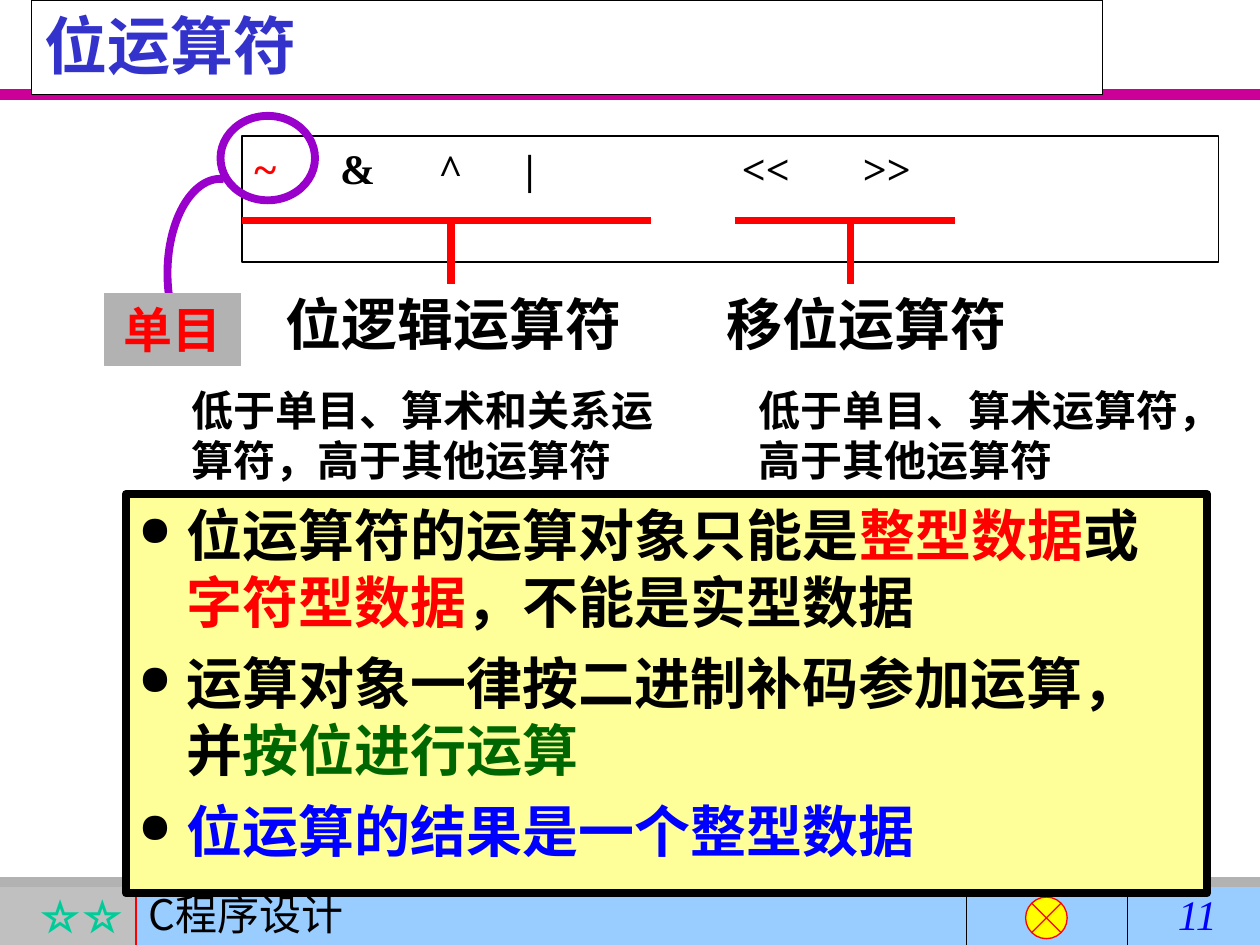
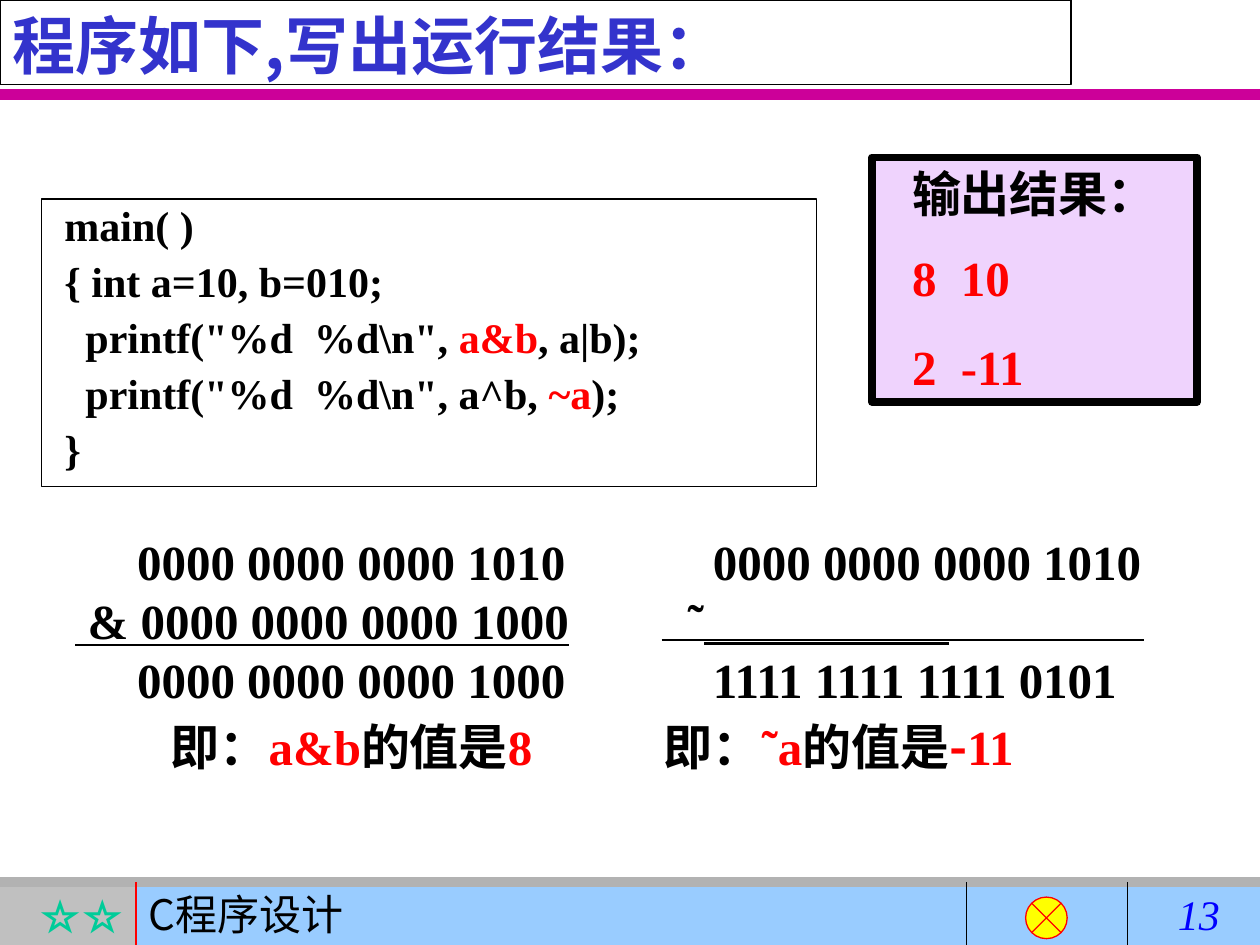
import pptx
import pptx.dml.color
import pptx.enum.shapes
import pptx.enum.text
import pptx.oxml
import pptx.oxml.ns
import pptx.util

Inches = pptx.util.Inches
Pt = pptx.util.Pt
SHAPE = pptx.enum.shapes.MSO_SHAPE
ALIGN = pptx.enum.text.PP_ALIGN

SANS = "Noto Sans CJK SC"
SERIF = "Times New Roman"
BLACK, WHITE, RED, BLUE = "000000", "FFFFFF", "FF0000", "0000FF"
GREEN, PURPLE, TITLE_BLUE, MAGENTA = "006600", "9900CC", "3333CC", "CC0099"
GREY, STAR_GREY, STAR_GREEN, SKY = "B2B2B2", "C0C0C0", "00CC99", "99CCFF"
YELLOW, PALE_YELLOW, LILAC = "FFFF00", "FFFF99", "EFD3FD"
THIN, THICK, BAND = 0.75, 4.5, 6


def rgb(color):
    """Turn a hex string into a colour."""
    return pptx.dml.color.RGBColor.from_string(color)


def add_xml(parent, tag, **attributes):
    """Append an empty drawing element to a parent element."""
    element = pptx.oxml.parse_xml(f"<a:{tag} {pptx.oxml.ns.nsdecls('a')}/>")
    for name, value in attributes.items():
        element.set(name, str(value))
    parent.append(element)
    return element


def paint(shape, fill=None, line=None, weight=THIN):
    """Set the fill and outline of a shape."""
    if fill:
        shape.fill.solid()
        shape.fill.fore_color.rgb = rgb(fill)
    else:
        shape.fill.background()
    if line:
        shape.line.color.rgb = rgb(line)
        shape.line.width = Pt(weight)
    else:
        shape.line.fill.background()


def add_run(paragraph, text, size, color=BLACK, font=SERIF, bold=True, italic=False, underline=False):
    """Add one formatted run to a paragraph."""
    run = paragraph.add_run()
    run.text = text
    run.font.size = Pt(size)
    run.font.name = font
    run.font.bold = bold
    run.font.italic = italic
    run.font.underline = underline
    run.font.color.rgb = rgb(color)
    add_xml(run.font._element, "ea", typeface=SANS)


def write(shape, paragraphs, size, align=ALIGN.LEFT, before=0, spacing=None, **style):
    """Fill a shape with paragraphs, each a list of (text, overrides) runs."""
    frame = shape.text_frame
    frame.word_wrap = True
    frame.auto_size = pptx.enum.text.MSO_AUTO_SIZE.NONE
    frame.vertical_anchor = pptx.enum.text.MSO_ANCHOR.TOP
    for index, runs in enumerate(paragraphs):
        paragraph = frame.add_paragraph() if index else frame.paragraphs[0]
        paragraph.alignment = align
        paragraph.space_before = Pt(before if index else 0)
        if spacing:
            paragraph.line_spacing = spacing
        for text, overrides in runs:
            add_run(paragraph, text, size, **{**style, **overrides})
    return frame.paragraphs


def indent(paragraph, left, first=0):
    """Set the left margin and first-line indent of a paragraph."""
    properties = paragraph._p.get_or_add_pPr()
    properties.set("marL", str(Inches(left)))
    properties.set("indent", str(Inches(first)))
    return properties


def add_box(slide, box, kind=SHAPE.RECTANGLE, **look):
    """Add a painted preset shape in a box given in inches."""
    shape = slide.shapes.add_shape(kind, *map(Inches, box))
    shape.shadow.inherit = False
    paint(shape, **look)
    return shape


def add_text(slide, box, paragraphs, size, **options):
    """Add a text box and return its paragraphs."""
    return write(slide.shapes.add_textbox(*map(Inches, box)), paragraphs, size, **options)


def add_line(slide, start, end, color=BLACK, weight=THIN):
    """Add a straight line between two points in inches."""
    line = slide.shapes.add_connector(
        pptx.enum.shapes.MSO_CONNECTOR.STRAIGHT, *map(Inches, (*start, *end)))
    line.line.color.rgb = rgb(color)
    line.line.width = Pt(weight)
    add_xml(line._element.spPr, "effectLst")


def draw_footer(slide, box, number):
    """Draw the course footer with its stars, name and page number."""
    left, top, width, height = box
    star_width = 1.08
    stars = add_box(slide, (left, top, star_width, height), fill=STAR_GREY)
    write(stars, [[("☆☆", {})]], 24, align=ALIGN.RIGHT, color=STAR_GREEN)
    course = add_box(slide, (left + star_width, top, width - star_width, height), fill=SKY)
    write(course, [[("C程序设计", {})]], 24, font=SANS, bold=False)
    add_line(slide, (left, top), (left + width, top), GREY, BAND)
    for offset, color in ((star_width, RED), (7.67, BLACK), (8.95, BLACK)):
        add_line(slide, (left + offset, top), (left + offset, top + height), color)
    add_box(slide, (left + 8.14, top + 0.12, 0.33, 0.33),
            SHAPE.FLOWCHART_SUMMING_JUNCTION, fill=YELLOW, line=RED)
    add_text(slide, (left + 9.25, top, 0.75, height), [[(number, {})]], 24,
             color=BLUE, bold=False, italic=True)


def start_slide(deck, title_text, title_box, number):
    """Add a slide with the footer, title band and title."""
    slide = deck.slides.add_slide(deck.slide_layouts[5])
    draw_footer(slide, (0, 7, 10, 0.5), number)
    add_line(slide, (0, 0.75), (10, 0.75), MAGENTA, BAND)
    title = slide.shapes.title
    title.left, title.top, title.width, title.height = map(Inches, title_box)
    paint(title, WHITE, BLACK)
    write(title, [[(title_text, {})]], 36, color=TITLE_BLUE, font=SANS)
    slide.shapes.element.append(title.element)
    return slide


def draw_operator_list(slide, box):
    """Draw the framed row of operators on tab stops."""
    frame = add_box(slide, box, fill=WHITE, line=BLACK)
    operators = [("~", {"color": RED})]
    operators += [("\t" + sign, {}) for sign in ("&", "^", "|", "<<", ">>")]
    row = write(frame, [operators], 24)[0]
    tabs = add_xml(row._p.get_or_add_pPr(), "tabLst")
    for position in (0.68, 1.46, 2.15, 3.87, 4.83):
        add_xml(tabs, "tab", pos=Inches(position), algn="l")


def draw_operator_group(slide, bar, stem, label_box, label):
    """Draw a bar with a stem leading down to the name of an operator group."""
    left, top, width = bar
    add_line(slide, (left, top), (left + width, top), RED, THICK)
    add_line(slide, (stem, top), (stem, label_box[1]), RED, THICK)
    add_text(slide, label_box, [[(label, {})]], 32)


def draw_unary_callout(slide, left, top):
    """Circle the unary operator and tie it to its label with an arc."""
    add_box(slide, (left + 0.92, top, 0.75, 0.67), SHAPE.OVAL, line=PURPLE, weight=THICK)
    tie = add_box(slide, (left + 0.5, top + 0.5, 0.84, 1.5), SHAPE.ARC, line=PURPLE, weight=THICK)
    for index, degrees in enumerate((153, 272)):
        tie.adjustments[index] = degrees * 0.6
    label = add_box(slide, (left, top + 1.41, 1.08, 0.57), fill=GREY, line=GREY)
    write(label, [[("单目", {})]], 28, align=ALIGN.CENTER, color=RED)


def draw_rules(slide, box):
    """Draw the bulleted rules for operands and results."""
    panel = add_box(slide, box, fill=PALE_YELLOW, line=BLACK, weight=THICK)
    red = {"color": RED}
    rules = write(panel, [
        [("位运算符的运算对象只能是", {}), ("整型数据", red), ("或", {}),
         ("字符型数据", red), ("，不能是实型数据", {})],
        [("运算对象一律按二进制补码参加运算，并", {}), ("按位进行运算", {"color": GREEN})],
        [("位运算的结果是一个整型数据", {"color": BLUE})],
    ], 32, before=8, font=SANS)
    for rule in rules:
        properties = indent(rule, 0.38, -0.38)
        add_xml(add_xml(properties, "buClr"), "srgbClr", val=BLACK)
        add_xml(properties, "buSzPct", val=75000)
        add_xml(properties, "buChar", char="●")


def draw_code(slide, box):
    """Draw the framed program listing."""
    red = {"color": RED}
    listing = write(add_box(slide, box, fill=WHITE, line=BLACK), [
        [(" main( )", {})],
        [(" { int a=10, b=010;", {})],
        [('   printf("%d  %d\\n", ', {}), ("a&b", red), (", a|b);", {})],
        [('   printf("%d  %d\\n", a^b, ', {}), ("~a", red), (");", {})],
        [(" }", {})],
    ], 24, before=6, spacing=0.9)
    for code_line in listing:
        indent(code_line, 0.38, -0.38)


def draw_output(slide, box):
    """Draw the panel with the program output."""
    panel = add_box(slide, box, fill=LILAC, line=BLACK, weight=THICK)
    red = {"color": RED}
    lines = write(panel, [[("输出结果：", {})], [("8  10", red)], [("2  -11", red)]], 28, before=17.5)
    lines[1].space_before = Pt(14)
    for line in lines:
        indent(line, 0.22)


def draw_calculation(slide, box, operand, operation, result, conclusion, indents, align):
    """Write a binary calculation with its conclusion below."""
    steps = add_text(slide, box, [[(operand, {})], operation, [(result, {})], conclusion], 28)
    for step, left in zip(steps, indents):
        indent(step, left)
    steps[-1].alignment = align
    steps[-1].space_before = Pt(4.6)


def build_operators(deck):
    """Build the slide on the bitwise operators."""
    slide = start_slide(deck, "位运算符", (0.25, 0, 8.5, 0.75), "11")
    draw_operator_list(slide, (1.92, 1.08, 7.75, 1))
    draw_operator_group(slide, (1.92, 1.75, 3.25), 3.58, (2.17, 2.25, 3.33, 0.64), "位逻辑运算符")
    draw_operator_group(slide, (5.83, 1.75, 1.75), 6.75, (5.67, 2.25, 3.08, 0.64), "移位运算符")
    draw_unary_callout(slide, 0.83, 0.92)
    draw_rules(slide, (1, 3.92, 8.58, 3.17))
    for left, width, precedence in (
            (5.92, 3.75, "低于单目、算术运算符，高于其他运算符"),
            (1.42, 4.08, "低于单目、算术和关系运算符，高于其他运算符")):
        add_text(slide, (left, 3, width, 0.9), [[(precedence, {})]], 24)


def build_program(deck):
    """Build the slide with the sample program and its results."""
    slide = start_slide(deck, "程序如下,写出运行结果：", (0, 0, 8.5, 0.67), "13")
    draw_code(slide, (0.33, 1.58, 6.15, 2.28))
    draw_output(slide, (6.92, 1.25, 2.58, 1.94))
    red = {"color": RED}
    draw_calculation(
        slide, (0.5, 4.17, 4.58, 2.17), "0000 0000 0000 1010",
        [(" & 0000 0000 0000 1000", {"underline": True})], "0000 0000 0000 1000",
        [("即：", {}), ("a&b", red), ("的值是", {}), ("8", red)],
        (0.49, 0, 0.49, 0), ALIGN.CENTER)
    draw_calculation(
        slide, (5.17, 4.17, 4.5, 2.25), "0000 0000 0000 1010", [("˜", {})], "1111 1111 1111 0101",
        [("即：", {}), ("˜a", red), ("的值是", {}), ("-", {"color": RED, "font": SANS}), ("11", red)],
        (0.39, 0.19, 0.39, 0), ALIGN.LEFT)
    add_line(slide, (5.59, 5.11), (7.53, 5.11), weight=1.75)
    add_line(slide, (5.25, 5.08), (9.08, 5.08))


def main():
    """Build and save the two slides."""
    deck = pptx.Presentation()
    deck.slide_width, deck.slide_height = Inches(10), Inches(7.5)
    build_operators(deck)
    build_program(deck)
    deck.save("out.pptx")


if __name__ == "__main__":
    main()
